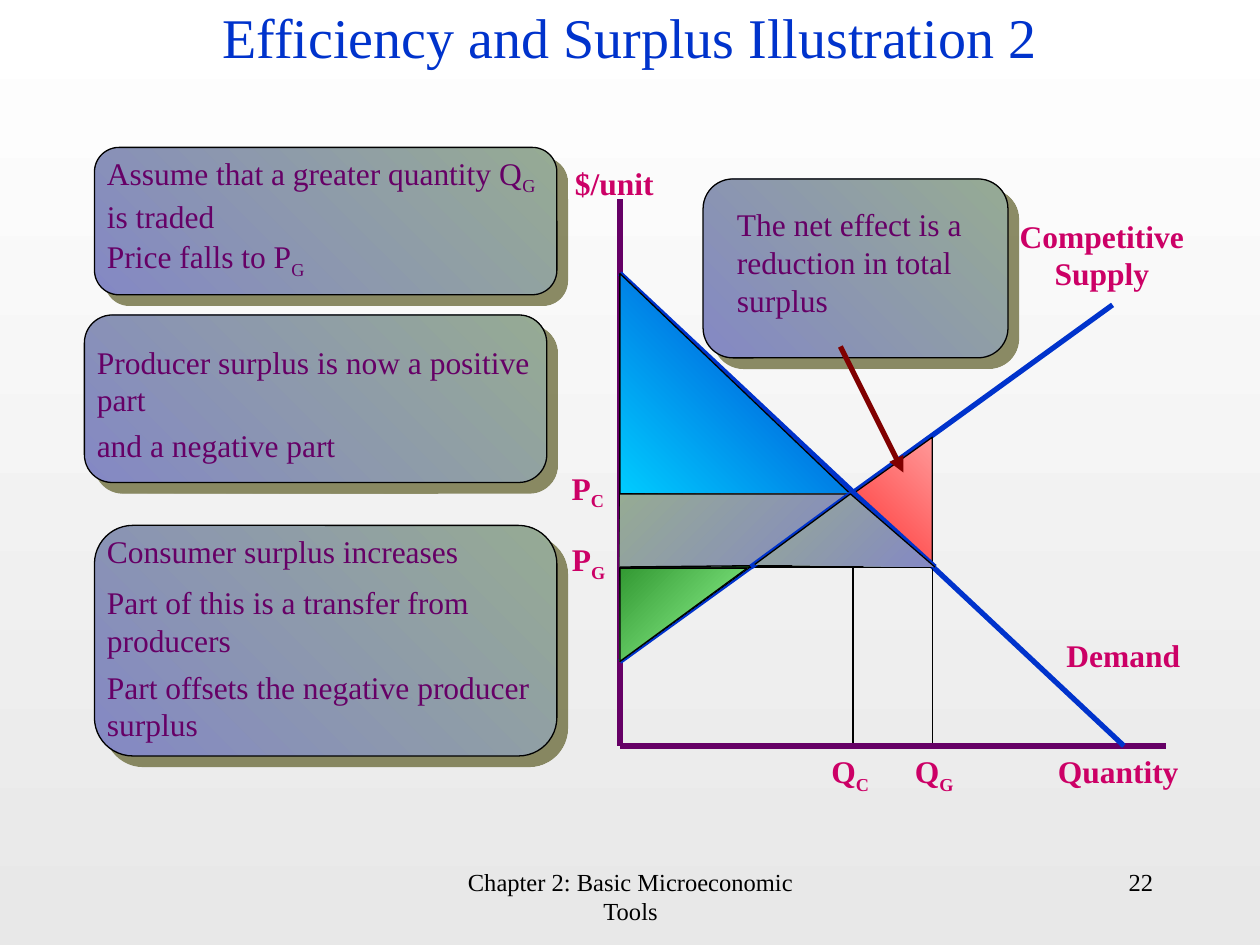
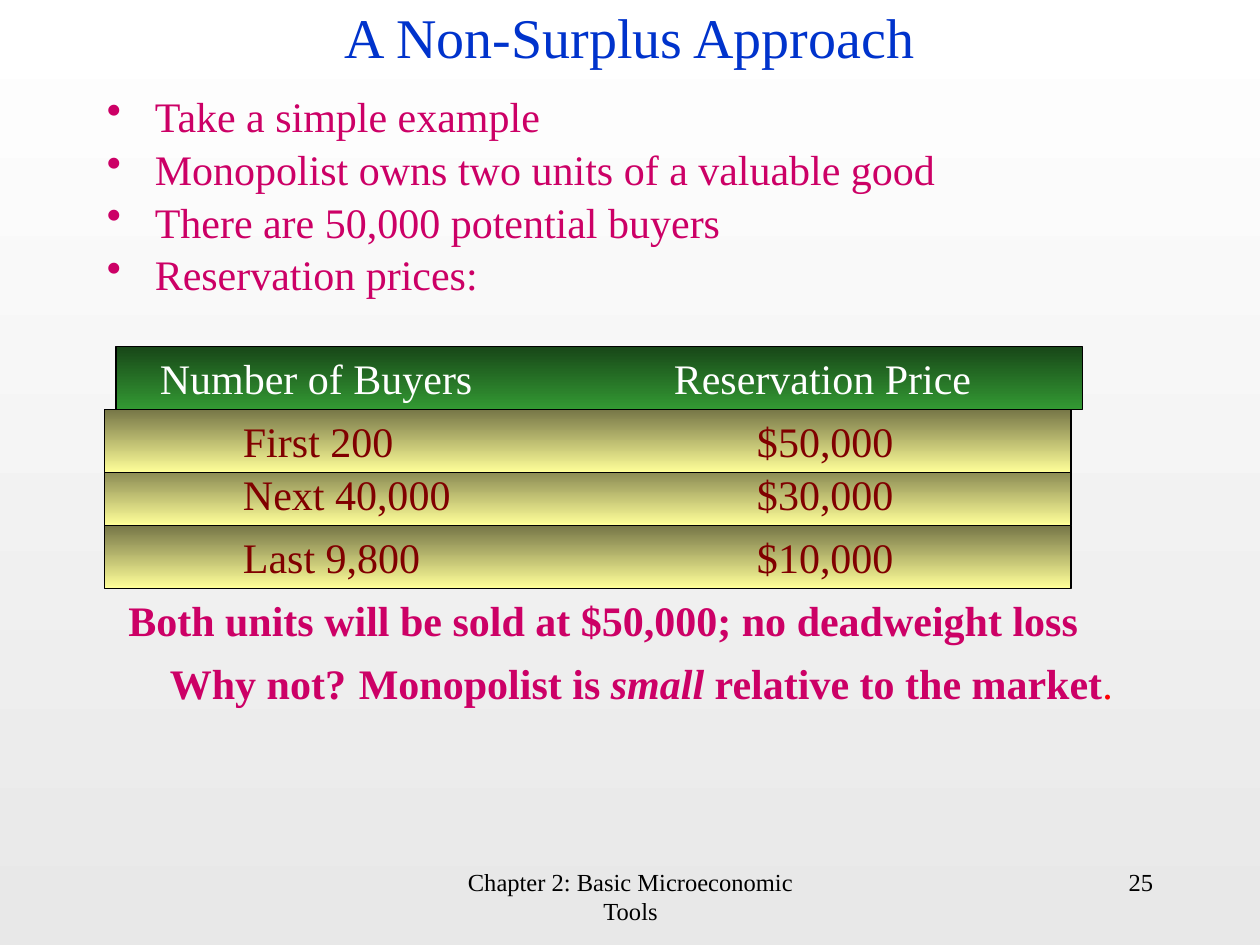
import pptx
import pptx.dml.color
import pptx.enum.shapes
import pptx.enum.text
import pptx.oxml.ns
import pptx.util
from lxml import etree

Inches, Pt = pptx.util.Inches, pptx.util.Pt
RGB = pptx.dml.color.RGBColor.from_string
qn = pptx.oxml.ns.qn
SHAPE = pptx.enum.shapes.MSO_SHAPE
STRAIGHT = pptx.enum.shapes.MSO_CONNECTOR.STRAIGHT
TOP, MIDDLE = pptx.enum.text.MSO_ANCHOR.TOP, pptx.enum.text.MSO_ANCHOR.MIDDLE
LEFT, CENTER, RIGHT = (getattr(pptx.enum.text.PP_ALIGN, side) for side in ("LEFT", "CENTER", "RIGHT"))

COLORS = {
    "white": "FFFFFF", "black": "000000", "haze": "E8E8E8",
    "blue": "0033CC", "cyan": "00CCFF", "magenta": "CC0066", "purple": "660066",
    "maroon": "800000", "red": "FF0000", "pink": "FF9999",
    "periwinkle": "8488C4", "sage": "96AB94", "olive": "666633",
    "green": "339933", "mint": "99FF99", "forest": "184718",
    "khaki": "767647", "cream": "FFFF99",
}
FOOTER = {"size": Pt(14), "color": "black"}
TITLE = {"size": Pt(32), "color": "blue"}
LABEL = {"size": Pt(18), "color": "magenta", "bold": True}
NOTE = {"size": Pt(18), "color": "purple"}
BODY = {"size": Pt(24), "color": "magenta"}
CLAIM = {**BODY, "bold": True}
SUB = {"baseline": "-25000"}


def shade(fill, first, last, angle):
    """Two-colour gradient; the angle runs counter-clockwise."""
    fill.gradient()
    fill.gradient_angle = angle
    for stop, color in zip(fill.gradient_stops, (first, last)):
        stop.color.rgb = RGB(COLORS[color])


def write(frame, paragraphs, style, align=LEFT, anchor=TOP):
    """Fill a text frame; a paragraph is a string or a list of (text, format changes)."""
    frame.word_wrap = True
    frame.vertical_anchor = anchor
    for index, content in enumerate(paragraphs):
        paragraph = frame.add_paragraph() if index else frame.paragraphs[0]
        paragraph.alignment = align
        for text, changes in [(content, {})] if isinstance(content, str) else content:
            run = paragraph.add_run()
            run.text = text
            for key, value in {"name": "Times New Roman", **style, **changes}.items():
                if key == "color":
                    run.font.color.rgb = RGB(COLORS[value])
                elif key == "baseline":
                    run._r.get_or_add_rPr().set(key, value)
                else:
                    setattr(run.font, key, value)


prs = pptx.Presentation()
prs.slide_width, prs.slide_height = Inches(10), Inches(7.5)

# Shared background, title and footer
slides = []
for title, number in (("Efficiency and Surplus Illustration 2", "22"), ("A Non-Surplus Approach", "25")):
    slide = prs.slides.add_slide(prs.slide_layouts[6])
    shade(slide.background.fill, "white", "haze", 270)
    for at, text, style, align, anchor in (
        ((3.42, 6.83, 3.17, 0.5), "Chapter 2: Basic Microeconomic Tools", FOOTER, CENTER, TOP),
        ((7.17, 6.83, 2.08, 0.5), number, FOOTER, RIGHT, TOP),
        ((0.75, 0, 8.5, 0.58), title, TITLE, CENTER, MIDDLE),
    ):
        write(slide.shapes.add_textbox(*map(Inches, at)).text_frame, [text], style, align, anchor)
    slides.append(slide)
surplus, approach = (slide.shapes for slide in slides)

# Slide 1: note panels with an offset shadow
for at in ((0.75, 1.17, 3.67, 1.17), (0.67, 2.5, 3.67, 1.33), (0.75, 4.17, 3.67, 1.83), (5.58, 1.42, 2.42, 1.42)):
    panel = surplus.add_shape(SHAPE.ROUNDED_RECTANGLE, *map(Inches, at))
    shade(panel.fill, "periwinkle", "sage", 45)
    panel.line.color.rgb = RGB(COLORS["black"])
    panel.line.width = Pt(0.75)
    panel.shadow.inherit = False
    shadow = etree.SubElement(panel._element.spPr.find(qn("a:effectLst")), qn("a:outerShdw"),
                              blurRad="0", dist=str(Pt(8.5)), dir="2700000", algn="ctr", rotWithShape="0")
    tint = etree.SubElement(shadow, qn("a:srgbClr"), val=COLORS["olive"])
    etree.SubElement(tint, qn("a:alpha"), val="75000")

# Slide 1: diagram layers from back to front, each with lines, triangles and polygons
axis_x, axis_y = 4.92, 5.92
price_c, price_g = 3.92, 4.5
layers = [
    ([
        ((axis_x, 1.58), (axis_x, axis_y), "purple", 3),
        ((axis_x, axis_y), (9.25, axis_y), "purple", 3),
        ((axis_x, 2.17), (8.92, axis_y), "blue", 3),
        ((axis_x, 5.25), (8.83, 2.42), "blue", 3),
        ((6.75, price_c), (axis_x, price_c), "black", 1),
        ((6.77, 3.9), (6.77, 5.9), "black", 1),
        ((axis_x, price_g), (7.42, price_g), "black", 1),
        ((7.4, 3.48), (7.4, 5.9), "black", 1),
    ], [
        ((axis_x, 2.17, 1.83, 1.75), None, ("cyan", "blue", 45)),
        ((axis_x, price_c, 1.83, 1.33), "flipV", ("black", "green", 45)),
        ((axis_x, 4.51, 1.01, 0.74), "flipV", ("green", "mint", 45)),
        ((5.97, 3.47, 1.43, 1.02), "flipH", ("pink", "red", 315)),
    ], [
        [(axis_x, price_c), (6.75, price_c), (5.96, 4.49), (axis_x, price_g)],
    ]),
    ([
        ((5.96, price_g), (6.75, price_c), "blue", 3),
        ((6.75, 3.89), (7.42, price_g), "blue", 3),
    ], [], [
        [(5.99, 4.48), (6.75, price_c), (7.42, price_g)],
    ]),
    ([((6.67, 2.75), (7.17, 3.75), "maroon", 3)], [], []),
]
for lines, triangles, polygons in layers:
    for start, end, color, width in lines:
        line = surplus.add_connector(STRAIGHT, *map(Inches, start + end))
        line.line.color.rgb = RGB(COLORS[color])
        line.line.width = Pt(width)
        if color == "maroon":
            etree.SubElement(line.line._get_or_add_ln(), qn("a:tailEnd"), type="triangle")
        etree.SubElement(line._element.spPr, qn("a:effectLst"))

    areas = []
    for at, flip, colors in triangles:
        area = surplus.add_shape(SHAPE.RIGHT_TRIANGLE, *map(Inches, at))
        if flip:
            area._element.spPr.xfrm.set(flip, "1")
        areas.append((area, colors))
    for corners in polygons:
        first, *rest = [tuple(map(Inches, corner)) for corner in corners]
        builder = surplus.build_freeform(*first)
        builder.add_line_segments(rest, close=False)
        areas.append((builder.convert_to_shape(), ("sage", "periwinkle", 315)))
    for area, colors in areas:
        area.shadow.inherit = False
        shade(area.fill, *colors)
        area.line.color.rgb = RGB(COLORS["black"])
        area.line.width = Pt(0.75)

# Slide 1: diagram labels and notes
for at, text, style, align in (
    ((8.25, 5.92, 1.25, 0.4), "Quantity", LABEL, CENTER),
    ((8.33, 5, 1.17, 0.4), "Demand", LABEL, CENTER),
    ((7.83, 1.67, 1.83, 0.7), "Competitive Supply", LABEL, CENTER),
    ((4.25, 1.25, 1.25, 0.4), "$/unit", LABEL, CENTER),
    ((6.5, 5.92, 0.58, 0.44), [("Q", {}), ("C", SUB)], LABEL, LEFT),
    ((7.08, 5.92, 0.67, 0.44), [("Q", {}), ("G", SUB)], LABEL, CENTER),
    ((4.33, 3.67, 0.67, 0.44), [("P", {}), ("C", SUB)], LABEL, CENTER),
    ((4.44, 4.24, 0.5, 0.44), [("P", {}), ("G", SUB)], LABEL, LEFT),
    ((0.75, 1.17, 3.67, 0.74),
     [("Assume that a greater quantity Q", {}), ("G", SUB), (" is traded", {})], NOTE, LEFT),
    ((0.75, 1.83, 3.67, 0.44), [("Price falls to P", {}), ("G", SUB)], NOTE, LEFT),
    ((0.67, 2.67, 3.67, 0.7), "Producer surplus is now a positive part", NOTE, LEFT),
    ((0.67, 3.33, 3.67, 0.4), "and a negative part", NOTE, LEFT),
    ((0.75, 4.17, 3.67, 0.4), "Consumer surplus increases", NOTE, LEFT),
    ((0.75, 4.58, 3.67, 0.7), "Part of this is a transfer from producers", NOTE, LEFT),
    ((0.75, 5.25, 3.67, 0.7), "Part offsets the negative producer surplus", NOTE, LEFT),
    ((5.75, 1.58, 2, 1), "The net effect is a reduction in total surplus", NOTE, LEFT),
):
    write(surplus.add_textbox(*map(Inches, at)).text_frame, [text], style, align)

# Slide 2: bullet list
bullets = approach.add_textbox(*map(Inches, (0.75, 0.75, 8.75, 1.75))).text_frame
write(bullets, [
    "Take a simple example",
    "Monopolist owns two units of a valuable good",
    "There are 50,000 potential buyers",
    "Reservation prices:",
], BODY)
for index, paragraph in enumerate(bullets.paragraphs):
    paragraph.line_spacing = 0.8
    paragraph.space_before = Pt(7 if index else 0)
    properties = paragraph._p.get_or_add_pPr()
    properties.set("marL", str(Inches(0.38)))
    properties.set("indent", str(Inches(-0.38)))
    bullet_color = etree.SubElement(properties, qn("a:buClr"))
    etree.SubElement(bullet_color, qn("a:srgbClr"), val=COLORS["magenta"])
    etree.SubElement(properties, qn("a:buChar"), char="•")

# Slide 2: price bands, lowest first so that each overlaps the one below
header = ("forest", "green", 270), "white", (0.25, 4.33)
entry = ("khaki", "cream", 270), "maroon", (1, 5.08)
for left, top, buyers, price, (colors, ink, stops) in (
    (0.83, 4.17, "Last 9,800", "$10,000", entry),
    (0.83, 3.67, "Next 40,000", "$30,000", entry),
    (0.83, 3.25, "First 200", "$50,000", entry),
    (0.92, 2.75, "Number of Buyers", "Reservation Price", header),
):
    band = approach.add_shape(SHAPE.RECTANGLE, *map(Inches, (left, top, 7.67, 0.5)))
    band.shadow.inherit = False
    shade(band.fill, *colors)
    band.line.color.rgb = RGB(COLORS["black"])
    band.line.width = Pt(0.75)
    write(band.text_frame, [f"\t{buyers}\t{price}"], {**BODY, "color": ink})
    tabs = etree.SubElement(band.text_frame.paragraphs[0]._p.get_or_add_pPr(), qn("a:tabLst"))
    for stop in stops:
        etree.SubElement(tabs, qn("a:tab"), pos=str(Inches(stop)), algn="l")

# Slide 2: conclusions
for at, text in (
    ((0.92, 4.67, 7.92, 0.5), "Both units will be sold at $50,000; no deadweight loss"),
    ((2.75, 5.17, 6.5, 0.5), [("Monopolist is ", {}), ("small", {"italic": True}),
                              (" relative to the market", {}), (".", {"color": "red", "bold": False})]),
    ((1.25, 5.17, 1.83, 0.5), "Why not?"),
):
    write(approach.add_textbox(*map(Inches, at)).text_frame, [text], CLAIM)

prs.save("out.pptx")
